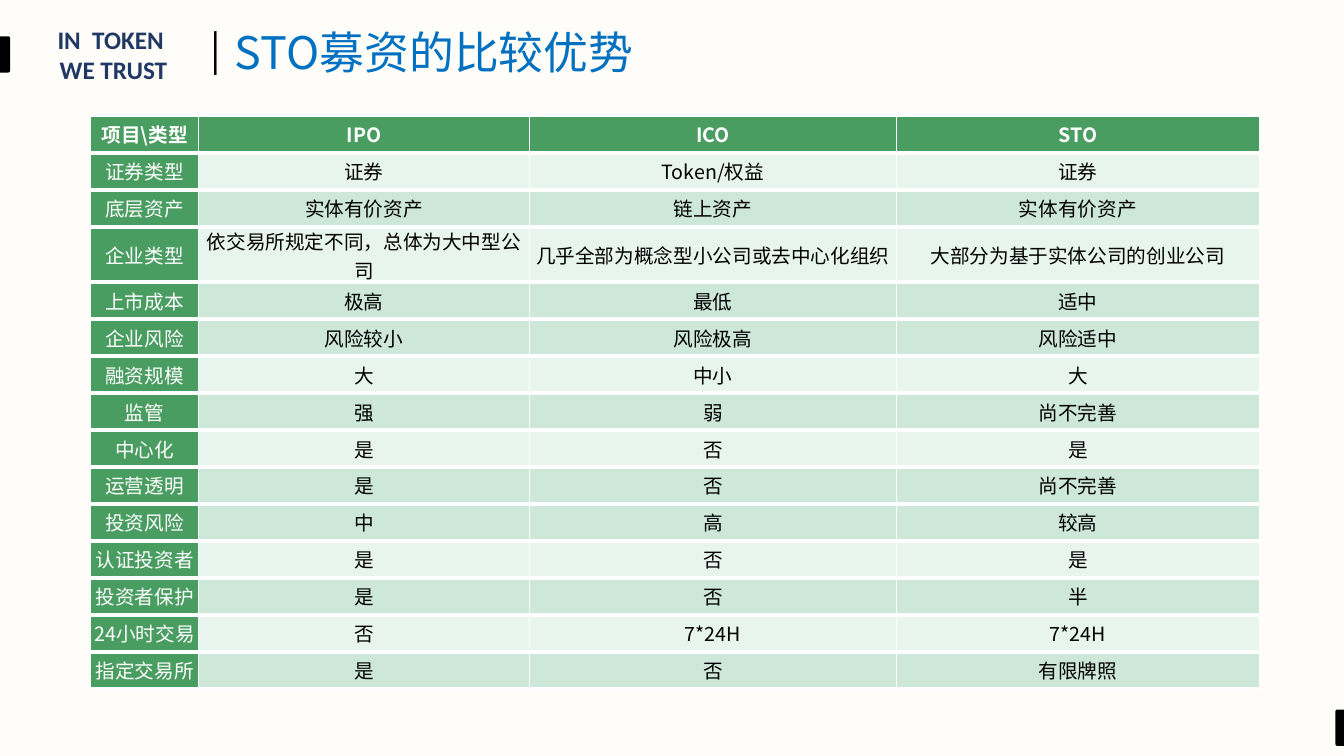
from lxml.etree import SubElement
from pptx import Presentation
from pptx.dml.color import RGBColor
from pptx.enum.shapes import MSO_SHAPE as Shape
from pptx.enum.text import MSO_ANCHOR as Anchor, PP_ALIGN as Align
from pptx.oxml.ns import qn
from pptx.util import Pt

TITLE = "STO募资的比较优势"
SLOGAN = "IN  TOKEN \nWE TRUST"
HEADER = ("项目\\类型", "IPO", "ICO", "STO")
COMPARISON = [
    ("证券类型", "证券", "Token/权益", "证券"),
    ("底层资产", "实体有价资产", "链上资产", "实体有价资产"),
    ("企业类型", "依交易所规定不同，总体为大中型公司", "几乎全部为概念型小公司或去中心化组织", "大部分为基于实体公司的创业公司"),
    ("上市成本", "极高", "最低", "适中"),
    ("企业风险", "风险较小", "风险极高", "风险适中"),
    ("融资规模", "大", "中小", "大"),
    ("监管", "强", "弱", "尚不完善"),
    ("中心化", "是", "否", "是"),
    ("运营透明", "是", "否", "尚不完善"),
    ("投资风险", "中", "高", "较高"),
    ("认证投资者", "是", "否", "是"),
    ("投资者保护", "是", "否", "半"),
    ("24小时交易", "否", "7*24H", "7*24H"),
    ("指定交易所", "是", "否", "有限牌照"),
]
PALE_CRITERIA = {"证券类型", "企业类型", "融资规模", "中心化", "认证投资者", "24小时交易"}
TALL_CRITERION = "企业类型"
COLUMN_WIDTHS = (77, 236.4, 262.2, 259.2)
ROW_HEIGHT, TALL_HEIGHT = 26.4, 39.6
EDGE_TABS = [(944.6, 516.2, 270), (-9.4, 35.3, 90)]
COLORS = {
    "paper": "FFFDFA", "black": "000000", "white": "FFFFFF", "navy": "203864",
    "blue": "0070C0", "green": "4A9D61", "pale": "E8F4EE", "mint": "CDE7D9",
}
CJK, LATIN = "Noto Sans CJK SC", "Calibri"


def rgb(name):
    return RGBColor.from_string(COLORS[name])


def style_text(frame, size, color, typeface=CJK, bold=False, align=None):
    for paragraph in frame.paragraphs:
        paragraph.alignment = align
        for run in paragraph.runs:
            run.font.size = Pt(size)
            run.font.bold = bold
            run.font.color.rgb = rgb(color)
            run.font.name = typeface
            SubElement(run.font._element, qn("a:ea"), typeface=typeface)


def set_margins(target, margin):
    target.margin_left = target.margin_right = Pt(margin)
    target.margin_top = target.margin_bottom = Pt(margin)


def set_borders(cell, top):
    properties = cell._tc.get_or_add_tcPr()
    widths = {"lnL": 1, "lnR": 1, "lnT": top, "lnB": 3}
    for position, (side, width) in enumerate(widths.items()):
        line = SubElement(properties, qn(f"a:{side}"), w=str(Pt(width)))
        fill = SubElement(line, qn("a:solidFill"))
        SubElement(fill, qn("a:srgbClr"), val=COLORS["white"])
        properties.insert(position, line)


def add_label(slide, text, left, top, width, height, wrap):
    label = slide.shapes.add_textbox(Pt(left), Pt(top), Pt(width), Pt(height))
    label.text_frame.word_wrap = wrap
    label.text_frame.text = text
    return label.text_frame


def add_edge_tabs(slide):
    for left, top, angle in EDGE_TABS:
        tab = slide.shapes.add_shape(
            Shape.ROUND_2_SAME_RECTANGLE, Pt(left), Pt(top), Pt(25.9), Pt(7.2))
        tab.rotation = angle
        tab.shadow.inherit = False
        tab.fill.solid()
        tab.fill.fore_color.rgb = rgb("black")
        tab.line.fill.background()


def add_heading(slide):
    divider = add_label(slide, "|", 143.3, 14.4, 22.3, 41, False)
    style_text(divider, 28, "black")
    slogan = add_label(slide, SLOGAN, 9.4, 13.7, 143.3, 51.1, True)
    style_text(slogan, 18, "navy", LATIN, True, Align.CENTER)

    title = slide.shapes.title
    title.left, title.top, title.width, title.height = Pt(160.6), Pt(18.7), Pt(678.2), Pt(41)
    title.text_frame.text = TITLE
    title.text_frame.vertical_anchor = Anchor.MIDDLE
    title.text_frame.paragraphs[0].line_spacing = 0.9
    style_text(title.text_frame, 32, "blue", align=Align.LEFT)


def add_comparison(slide):
    rows = [HEADER, *COMPARISON]
    heights = [TALL_HEIGHT if row[0] == TALL_CRITERION else ROW_HEIGHT for row in rows]
    table = slide.shapes.add_table(
        len(rows), len(HEADER), Pt(64.8), Pt(82.8),
        Pt(sum(COLUMN_WIDTHS)), Pt(sum(heights))).table
    table.horz_banding = False
    for column, width in zip(table.columns, COLUMN_WIDTHS):
        column.width = Pt(width)
    for r, (row, height) in enumerate(zip(rows, heights)):
        table.rows[r].height = Pt(height)
        band = "pale" if row[0] in PALE_CRITERIA else "mint"
        for c, text in enumerate(row):
            cell = table.cell(r, c)
            is_heading = r == 0 or c == 0
            cell.text_frame.text = text
            cell.vertical_anchor = Anchor.MIDDLE
            set_margins(cell, 0)
            cell.fill.solid()
            cell.fill.fore_color.rgb = rgb("green" if is_heading else band)
            style_text(cell.text_frame, 14, "white" if is_heading else "black",
                       bold=r == 0, align=Align.CENTER)
            set_borders(cell, 1 if r == 0 else 3)


def main():
    deck = Presentation()
    deck.slide_width, deck.slide_height = Pt(960), Pt(540)
    slide = deck.slides.add_slide(deck.slide_layouts[5])
    slide.background.fill.solid()
    slide.background.fill.fore_color.rgb = rgb("paper")
    add_edge_tabs(slide)
    add_heading(slide)
    add_comparison(slide)
    deck.save("out.pptx")


if __name__ == "__main__":
    main()
